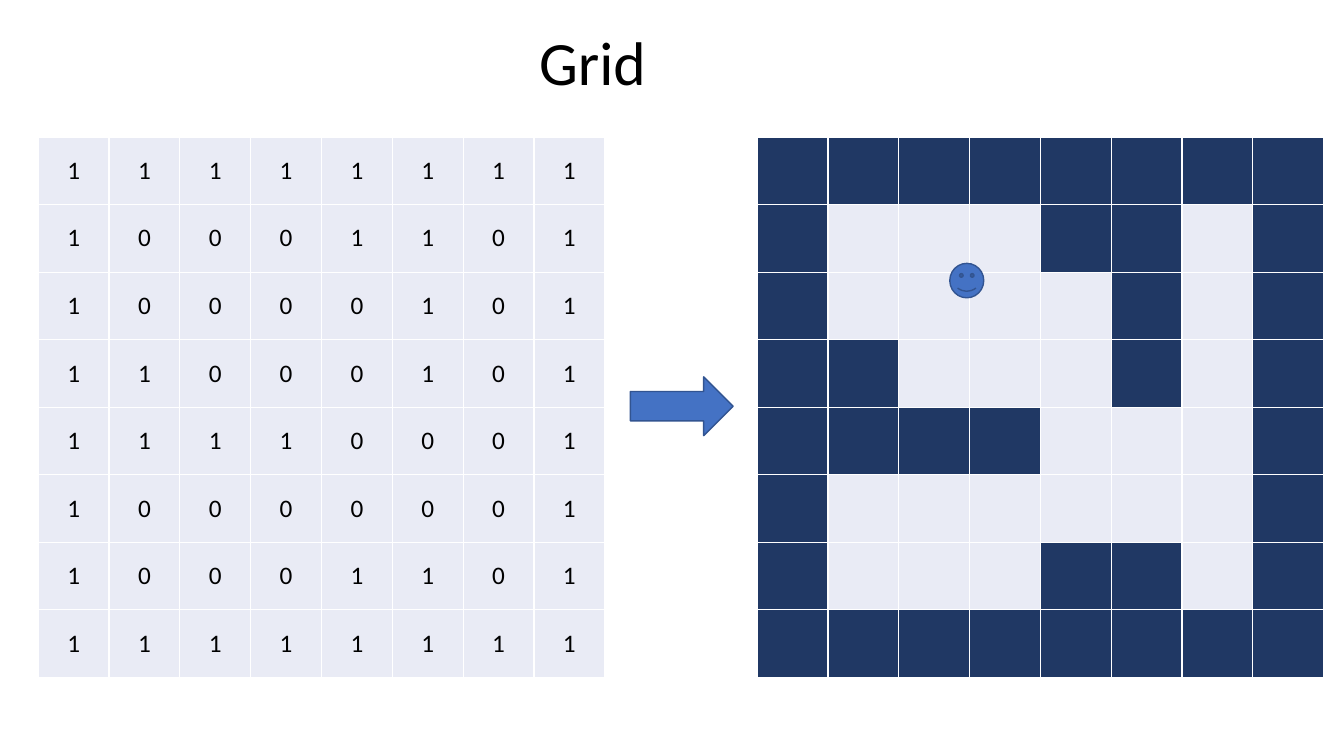
"""Build a slide that turns a grid of ones and zeros into a maze."""
from dataclasses import dataclass

from lxml.etree import SubElement
from pptx import Presentation
from pptx.dml.color import RGBColor
from pptx.enum.shapes import MSO_SHAPE
from pptx.enum.text import MSO_ANCHOR, MSO_AUTO_SIZE, PP_ALIGN
from pptx.oxml.ns import qn
from pptx.slide import Slide
from pptx.util import Inches, Pt

COLORS = {"floor": "E9EBF5", "wall": "203864", "blue": "4472C4",
          "edge": "325491", "rule": "FFFFFF", "ink": "000000"}
FONT = "Calibri"
MAZE = ("11111111", "10001101", "10000101", "11000101",
        "11110001", "10000001", "10001101", "11111111")
SIZE = len(MAZE)
COL = Inches(5.62) / SIZE
ROW = Inches(5.36) / SIZE


@dataclass(frozen=True)
class Box:
    """A place given in grid columns and rows."""
    col: float
    row: float
    wide: float
    high: float

    def place(self) -> tuple[int, int, int, int]:
        """Return left, top, width and height in slide units."""
        return (round(self.col * COL), round(self.row * ROW),
                round(self.wide * COL), round(self.high * ROW))


@dataclass(frozen=True)
class Board:
    """A table that shows the maze as digits or as walls."""
    box: Box
    digits: bool


@dataclass(frozen=True)
class Mark:
    """A blue preset shape."""
    kind: MSO_SHAPE
    box: Box


BOARDS = (Board(Box(0.54, 2.03, SIZE, SIZE), True),
          Board(Box(10.69, 2.03, SIZE, SIZE), False))
MARKS = (Mark(MSO_SHAPE.RIGHT_ARROW, Box(8.9, 5.58, 1.45, 0.87)),
         Mark(MSO_SHAPE.SMILEY_FACE, Box(13.41, 3.9, 0.48, 0.51)))
TITLE = Box(7.47, 0.28, 6.19, 1.25)


def paint(name: str) -> RGBColor:
    """Look up a named colour."""
    return RGBColor.from_string(COLORS[name])


def style(para, size: int) -> None:
    """Format every run of a paragraph."""
    for run in para.runs:
        run.font.name = FONT
        run.font.size = Pt(size)
        run.font.color.rgb = paint("ink")


def frame(cell) -> None:
    """Give a cell thin white borders."""
    props = cell._tc.get_or_add_tcPr()
    for side in ("a:lnL", "a:lnR", "a:lnT", "a:lnB"):
        line = SubElement(props, qn(side), w=str(Pt(1)))
        fill = SubElement(line, qn("a:solidFill"))
        SubElement(fill, qn("a:srgbClr"), val=COLORS["rule"])


def draw_board(slide: Slide, board: Board) -> None:
    """Draw the maze as a table."""
    table = slide.shapes.add_table(SIZE, SIZE, *board.box.place()).table
    table.first_row = table.horz_banding = False
    for y, digits in enumerate(MAZE):
        for x, digit in enumerate(digits):
            cell = table.cell(y, x)
            frame(cell)
            wall = digit == "1" and not board.digits
            cell.fill.solid()
            cell.fill.fore_color.rgb = paint("wall" if wall else "floor")
            if board.digits:
                cell.vertical_anchor = MSO_ANCHOR.MIDDLE
                cell.text_frame.text = digit
                para = cell.text_frame.paragraphs[0]
                para.alignment = PP_ALIGN.CENTER
                style(para, 18)


def draw_mark(slide: Slide, mark: Mark) -> None:
    """Draw a blue shape with a darker edge."""
    shape = slide.shapes.add_shape(mark.kind, *mark.box.place())
    shape.shadow.inherit = False
    shape.fill.solid()
    shape.fill.fore_color.rgb = paint("blue")
    shape.line.color.rgb = paint("edge")
    shape.line.width = Pt(1)


def draw_title(slide: Slide, text: str) -> None:
    """Write the heading."""
    body = slide.shapes.add_textbox(*TITLE.place()).text_frame
    body.word_wrap = True
    body.auto_size = MSO_AUTO_SIZE.SHAPE_TO_FIT_TEXT
    body.text = text
    style(body.paragraphs[0], 44)


def main() -> None:
    """Build and save the deck."""
    deck = Presentation()
    deck.slide_width, deck.slide_height = Inches(13.33), Inches(7.5)
    slide = deck.slides.add_slide(deck.slide_layouts[6])
    for board in BOARDS:
        draw_board(slide, board)
    for mark in MARKS:
        draw_mark(slide, mark)
    draw_title(slide, "Grid")
    deck.save("out.pptx")


if __name__ == "__main__":
    main()
